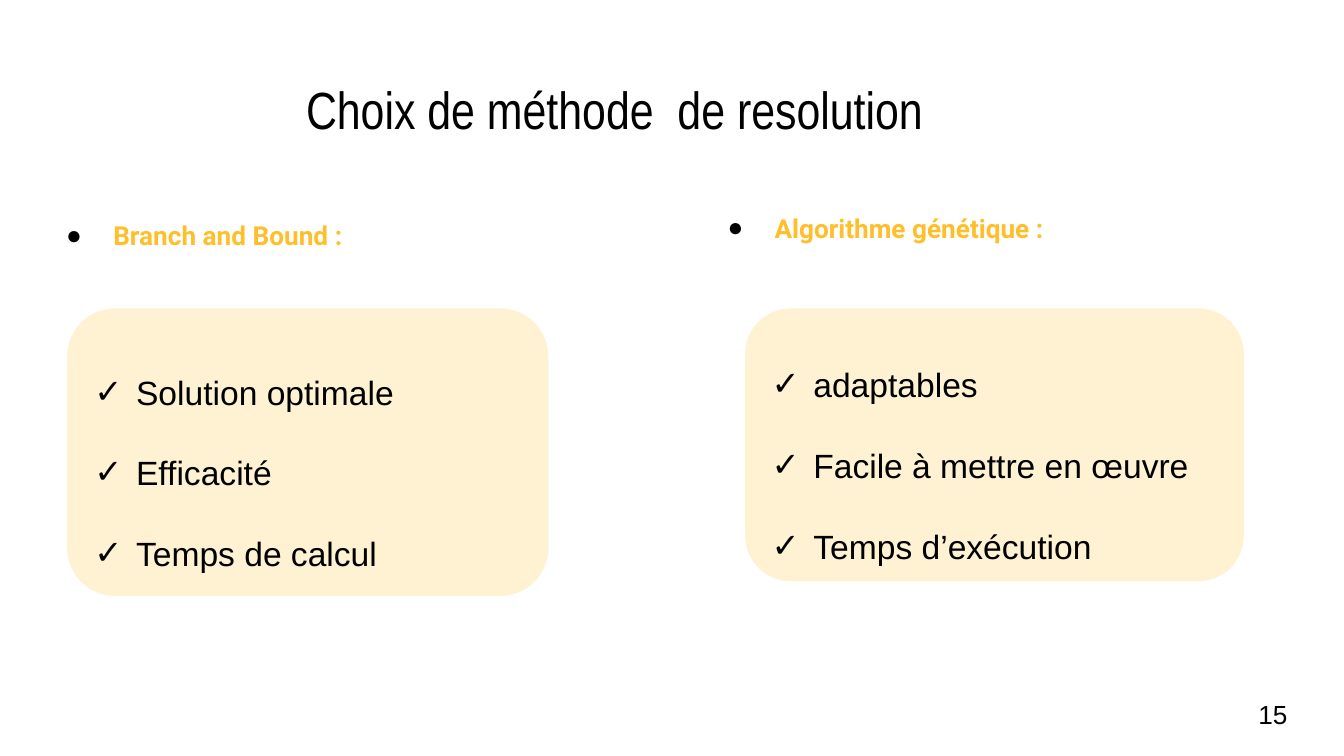
from lxml import etree
from pptx import Presentation
from pptx.dml.color import RGBColor
from pptx.enum.shapes import MSO_SHAPE
from pptx.enum.text import MSO_ANCHOR, PP_ALIGN
from pptx.oxml.ns import qn
from pptx.util import Inches, Pt

BLACK = RGBColor(0x00, 0x00, 0x00)
GOLD = RGBColor(0xFF, 0xBF, 0x2A)
CREAM = RGBColor(0xFE, 0xF2, 0xD3)
ROUND = MSO_SHAPE.ROUNDED_RECTANGLE
MID, TOP = MSO_ANCHOR.MIDDLE, MSO_ANCHOR.TOP
LEFT, CENTER = PP_ALIGN.LEFT, PP_ALIGN.CENTER
CELL = Inches(0.1)
COLS, ROWS = 100, 56.25


def grid(*cells):
    """Turn counts of grid cells into slide lengths."""
    return [round(n * CELL) for n in cells]


def bullet(par, mark, indent, hang):
    """Give a paragraph a black bullet and a hanging indent."""
    props = par._p.get_or_add_pPr()
    props.set("marL", str(grid(indent)[0]))
    props.set("indent", str(-grid(hang)[0]))
    color = etree.SubElement(props, qn("a:buClr"))
    etree.SubElement(color, qn("a:srgbClr"), val=str(BLACK))
    etree.SubElement(props, qn("a:buFont"), typeface="Arial")
    etree.SubElement(props, qn("a:buChar"), char=mark)


def write(frame, lines, size=14, face="Arial", color=BLACK, bold=False,
          align=LEFT, anchor=MID, space=1.0, mark=None, indent=0, hang=0):
    """Fill a text frame with one formatted paragraph per line."""
    frame.word_wrap = True
    frame.vertical_anchor = anchor
    for i, line in enumerate(lines):
        par = frame.paragraphs[0] if i == 0 else frame.add_paragraph()
        if mark:
            bullet(par, mark, indent, hang)
        par.alignment = align
        par.line_spacing = space
        run = par.add_run()
        run.text = line
        font = run.font
        font.size, font.name, font.bold = Pt(size), face, bold
        font.color.rgb = color


def label(slide, place, text, **style):
    """Add a text box with even margins."""
    frame = slide.shapes.add_textbox(*grid(*place)).text_frame
    frame.margin_top = frame.margin_bottom = CELL
    write(frame, [text], **style)


def head(slide, place, text):
    """Add a golden bulleted heading."""
    label(slide, place, text, face="Roboto", color=GOLD, bold=True,
          anchor=TOP, space=1.15, mark="●", indent=5, hang=3.5)


def card(slide, place, lines):
    """Add a rounded card with a checked list."""
    box = slide.shapes.add_shape(ROUND, *grid(*place))
    box.shadow.inherit = False
    box.fill.solid()
    box.fill.fore_color.rgb = CREAM
    box.line.fill.background()
    write(box.text_frame, lines, size=18, space=2.0,
          mark="✓", indent=3.1, hang=3.1)


def main():
    """Build and save the slide."""
    deck = Presentation()
    deck.slide_width, deck.slide_height = grid(COLS, ROWS)
    slide = deck.slides.add_slide(deck.slide_layouts[6])
    label(slide, (3.45, 5.45, 84.5, 5.3), "Choix de méthode  de resolution",
          size=28, face="Arial Narrow", align=CENTER)
    head(slide, (2.45, 15, 43.7, 37.4), "Branch and Bound :")
    head(slide, (51.65, 14.45, 43.7, 37.4), "Algorithme génétique :")
    card(slide, (5, 22.95, 35.8, 21.4),
         ["Solution optimale", "Efficacité", "Temps de calcul"])
    card(slide, (55.45, 22.95, 37.1, 20.3),
         ["adaptables", "Facile à mettre en œuvre", "Temps d’exécution"])
    label(slide, (92.65, 51, 6, 4.3), "15")
    deck.save("out.pptx")


if __name__ == "__main__":
    main()
